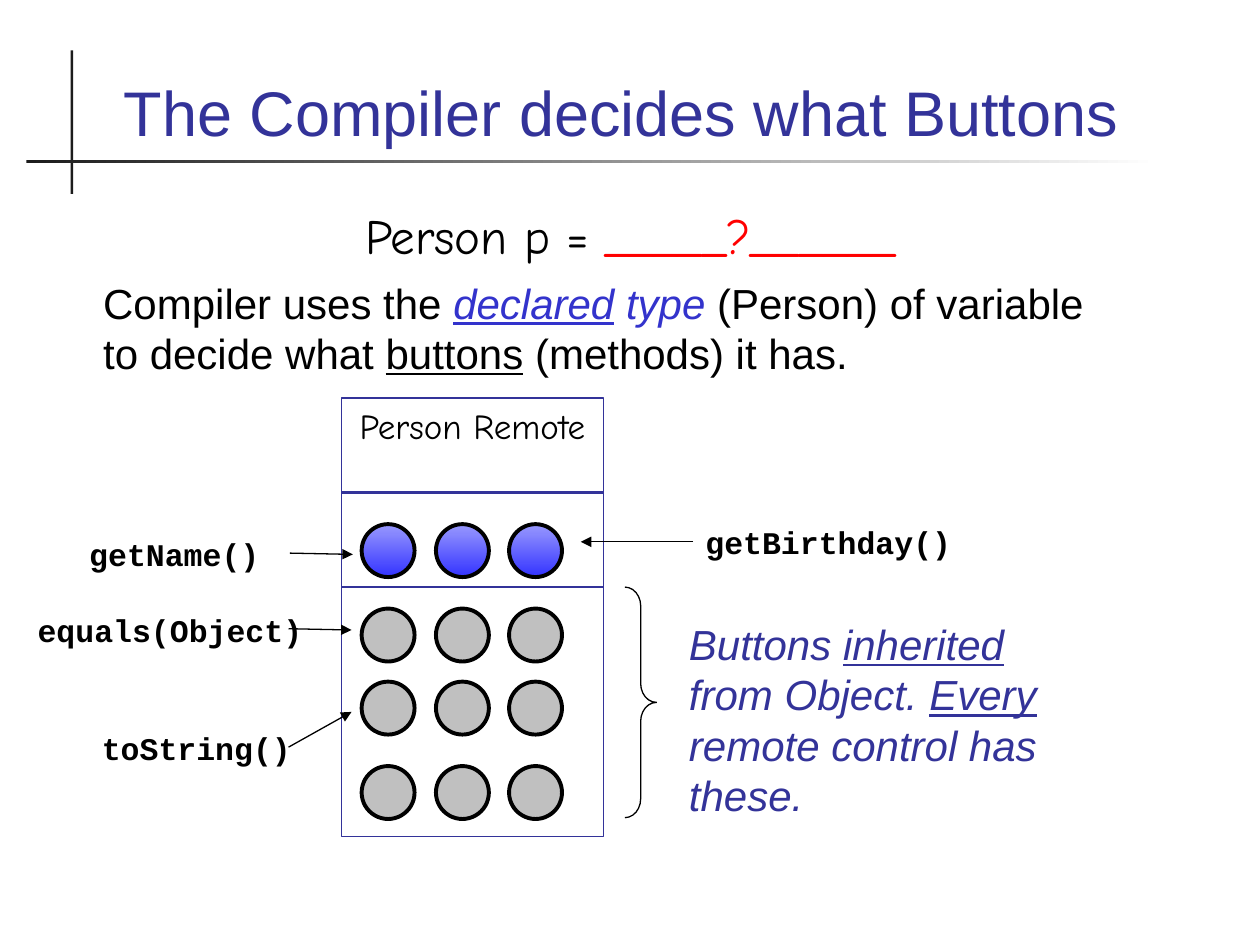
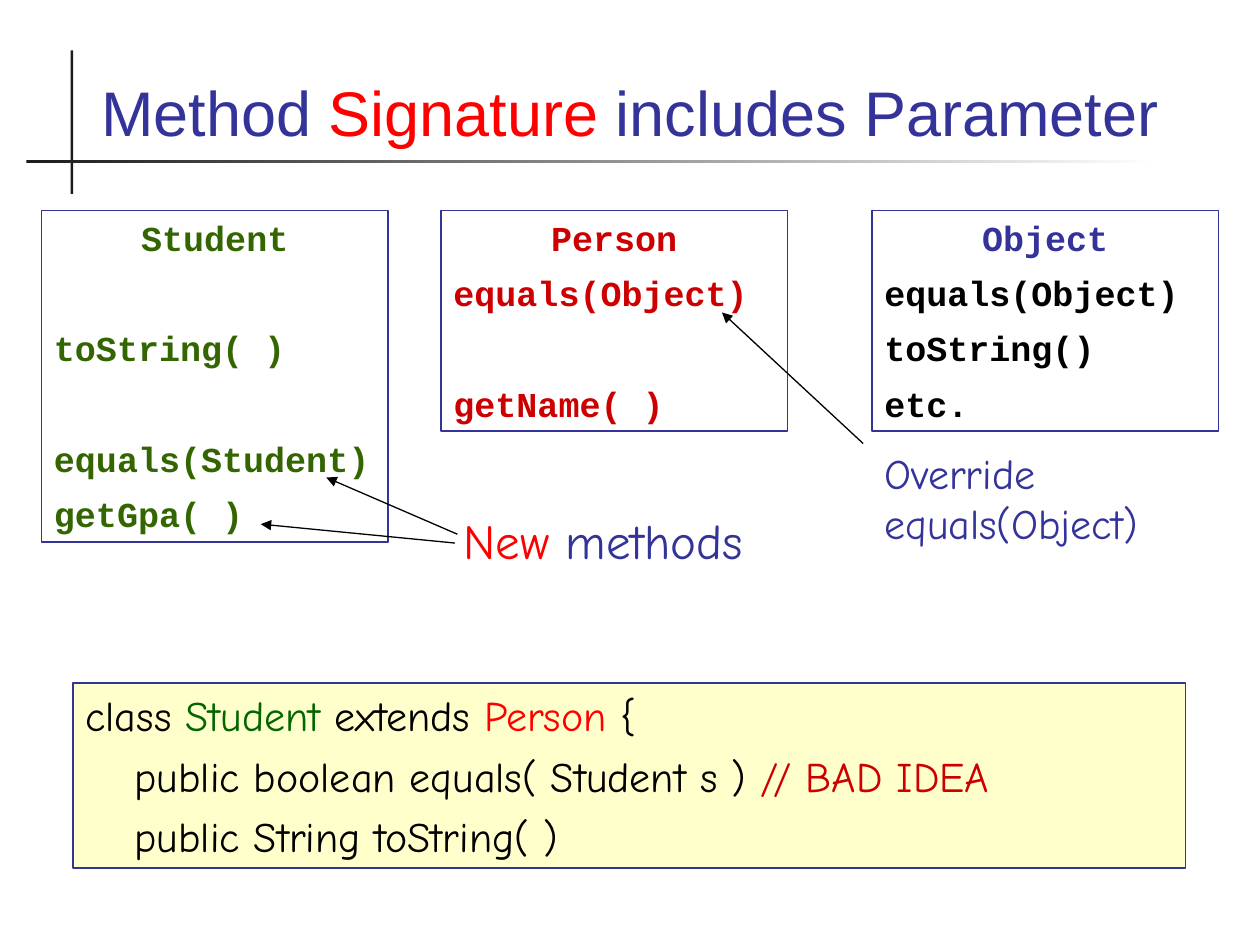
from itertools import product

from lxml.etree import SubElement
from pptx import Presentation
from pptx.dml.color import RGBColor
from pptx.enum.shapes import MSO_CONNECTOR, MSO_SHAPE
from pptx.enum.text import MSO_ANCHOR, PP_ALIGN
from pptx.oxml.ns import qn
from pptx.util import Inches, Pt

PX = Inches(0.01)
LEFT_SIDE = 1
COLORS = {
    "white": "FFFFFF", "black": "000000", "ink": "1C1C1C",
    "navy": "333399", "blue": "3333CC", "red": "FF0000",
    "crimson": "CC0000", "green": "006600", "olive": "336600",
    "silver": "C0C0C0", "cream": "FFFFCC",
    "button_top": "9999FE", "button_bottom": "3333FF",
}
TITLE = {"name": "Arial", "size": 36, "color": "navy"}
BODY = {"name": "Arial", "size": 24, "color": "black"}
NOTE = {"name": "Comic Neue", "size": 24, "color": "black"}
CODE = {"name": "Courier New", "size": 18, "color": "black", "bold": True}
LINE_HEIGHT = 1.2
CODE_INDENT = 39


def rgb(color):
    return RGBColor.from_string(COLORS[color])


class Deck:
    """Holds the shared style and the slide being drawn."""

    def __init__(self):
        self.presentation = Presentation()
        self.presentation.slide_width = 1000 * PX
        self.presentation.slide_height = 750 * PX
        self.slide = None

    def add_slide(self, title):
        layout = self.presentation.slide_layouts[6]
        self.slide = self.presentation.slides.add_slide(layout)
        self.box(56, 40, 2, 114, fill="ink")
        self.box(21, 127, 898, 2, fill=("ink", "white"), angle=0)
        self.text(67, 28, 866, 95, [title], TITLE, centered=True,
                  anchor=MSO_ANCHOR.BOTTOM)

    def box(self, left, top, width, height, kind=MSO_SHAPE.RECTANGLE,
            fill=None, line=None, weight=0.75, angle=270):
        """Draw a preset shape; a pair of fill colours makes a gradient."""
        shape = self.slide.shapes.add_shape(
            kind, left * PX, top * PX, width * PX, height * PX)
        shape.shadow.inherit = False
        if isinstance(fill, tuple):
            shape.fill.gradient()
            shape.fill.gradient_angle = angle
            for stop, color in zip(shape.fill.gradient_stops, fill):
                stop.color.rgb = rgb(color)
        elif fill:
            shape.fill.solid()
            shape.fill.fore_color.rgb = rgb(fill)
        else:
            shape.fill.background()
        if line:
            shape.line.color.rgb = rgb(line)
            shape.line.width = Pt(weight)
        else:
            shape.line.fill.background()
        return shape

    def text(self, left, top, width, height, paragraphs, style, **options):
        shape = self.slide.shapes.add_textbox(
            left * PX, top * PX, width * PX, height * PX)
        self.fill_text(shape, paragraphs, style, **options)
        return shape

    def fill_text(self, shape, paragraphs, style, centered=False,
                  anchor=MSO_ANCHOR.TOP, gaps=(), indents=()):
        """Fill a shape; each paragraph is a list of (text, changes to style)."""
        frame = shape.text_frame
        frame.word_wrap = True
        frame.vertical_anchor = anchor
        for index, runs in enumerate(paragraphs):
            paragraph = frame.add_paragraph() if index else frame.paragraphs[0]
            first_centered = centered and index == 0
            paragraph.alignment = PP_ALIGN.CENTER if first_centered else PP_ALIGN.LEFT
            paragraph.line_spacing = Pt(style["size"] * LINE_HEIGHT)
            if index and gaps:
                paragraph.space_before = Pt(gaps[index - 1])
            if indents:
                properties = paragraph._p.get_or_add_pPr()
                properties.set("marL", str(indents[index] * PX))
                properties.set("indent", "0")
            for words, changes in runs:
                run = paragraph.add_run()
                run.text = words
                self.style_font(run.font, {**style, **changes})

    def style_font(self, font, values):
        for name, value in values.items():
            if name == "color":
                font.color.rgb = rgb(value)
            else:
                setattr(font, name, Pt(value) if name == "size" else value)

    def line(self, start, end, color="black", weight=0.75, arrow=False):
        connector = self.slide.shapes.add_connector(
            MSO_CONNECTOR.STRAIGHT, *(value * PX for value in start + end))
        connector.line.color.rgb = rgb(color)
        connector.line.width = Pt(weight)
        if arrow:
            SubElement(connector.line._get_or_add_ln(), qn("a:tailEnd"), type="triangle")
        SubElement(connector._element.spPr, qn("a:effectLst"))
        return connector

    def class_box(self, left, height, name, methods, color, method_color, gaps):
        shape = self.box(left, 167, 275, height, fill="white", line="navy", weight=1)
        rows = [[(name, {"color": color})]]
        rows += [[(method, {"color": method_color})] for method in methods]
        self.fill_text(shape, rows, {**CODE, "size": 20}, centered=True, gaps=gaps)


def draw_remote(deck):
    deck.add_slide([("The Compiler decides what Buttons ", {})])
    deck.text(88, 158, 825, 57,
              [[("Person p = ", {}), ("_____?______", {"color": "red"})]],
              {**NOTE, "size": 28}, centered=True)
    declared = {"color": "blue", "italic": True}
    underlined = {"underline": True}
    deck.text(72, 215, 808, 90, [[
        ("Compiler uses the ", {}),
        ("declared", {**declared, **underlined}),
        (" type", declared),
        (" (Person) of variable to decide what ", {}),
        ("buttons", underlined),
        (" (methods) it has.", {}),
    ]], BODY)

    remote = deck.box(271, 316, 208, 348, line="navy")
    deck.fill_text(remote, [[("Person Remote", {})]], {**NOTE, "size": 20}, centered=True)
    for divider in (391, 466):
        deck.line((271, divider), (479, divider), "navy", 1.5)
    for top, left in product((416, 483, 541, 608), (287, 346, 404)):
        fill = ("button_top", "button_bottom") if top == 416 else "silver"
        deck.box(left, top, 42, 42, MSO_SHAPE.OVAL, fill, "black", 2.25)

    brace = deck.box(496, 466, 25, 183, MSO_SHAPE.RIGHT_BRACE, line="black")
    brace.adjustments[0] = 0.6
    deck.text(537, 486, 343, 170, [[
        ("Buttons ", {}), ("inherited", underlined), (" from Object. ", {}),
        ("Every", underlined), (" remote control has these.", {}),
    ]], {**BODY, "color": "navy", "italic": True})

    method_labels = [
        ("getName()", 61, 420, 159, (230, 439), (280, 440)),
        ("equals(Object)", 20, 480, 240, (229, 499), (279, 500)),
        ("toString()", 71, 574, 175, (229, 593), (279, 565)),
        ("getBirthday()", 550, 410, 270, (550, 430), (461, 430)),
    ]
    for name, left, top, width, start, end in method_labels:
        label = deck.text(left, top, width, 40, [[(name, {})]], CODE)
        arrow = deck.line(start, end, arrow=True)
        if start == (left, top + 20):
            arrow.begin_connect(label, LEFT_SIDE)


def draw_signatures(deck):
    deck.add_slide([("Method ", {}), ("Signature", {"color": "red"}),
                    (" includes Parameter", {})])
    near, far = 7.5, 39
    deck.class_box(692, 175, "Object", ["equals(Object)", "toString()", "etc."],
                   "navy", "black", (near, near, near))
    deck.class_box(350, 175, "Person", ["equals(Object)", "getName( )"],
                   "crimson", "crimson", (near, far))
    deck.class_box(33, 263, "Student", ["toString( )", "equals(Student)", "getGpa( )"],
                   "olive", "olive", (far, far, near))

    deck.text(358, 400, 292, 60,
              [[("New", {"color": "red"}), (" methods", {})]],
              {**NOTE, "size": 28, "color": "navy"})
    deck.text(692, 350, 275, 90, [[("Override equals(Object)", {})]],
              {**NOTE, "color": "navy"})
    for start, end in (((685, 352), (573, 248)),
                       ((363, 424), (259, 379)),
                       ((361, 431), (207, 416))):
        deck.line(start, end, arrow=True)

    listing = deck.box(58, 542, 883, 147, fill="cream", line="navy")
    deck.fill_text(listing, [
        [("class ", {}), ("Student", {"color": "green"}), (" extends ", {}),
         ("Person", {"color": "red"}), (" {", {})],
        [("public boolean equals( Student s ) ", {}),
         ("// BAD IDEA", {"color": "crimson"})],
        [("public String toString( )", {})],
    ], NOTE, gaps=(6, 6), indents=(0, CODE_INDENT, CODE_INDENT))


def main():
    deck = Deck()
    draw_remote(deck)
    draw_signatures(deck)
    deck.presentation.save("out.pptx")


if __name__ == "__main__":
    main()
